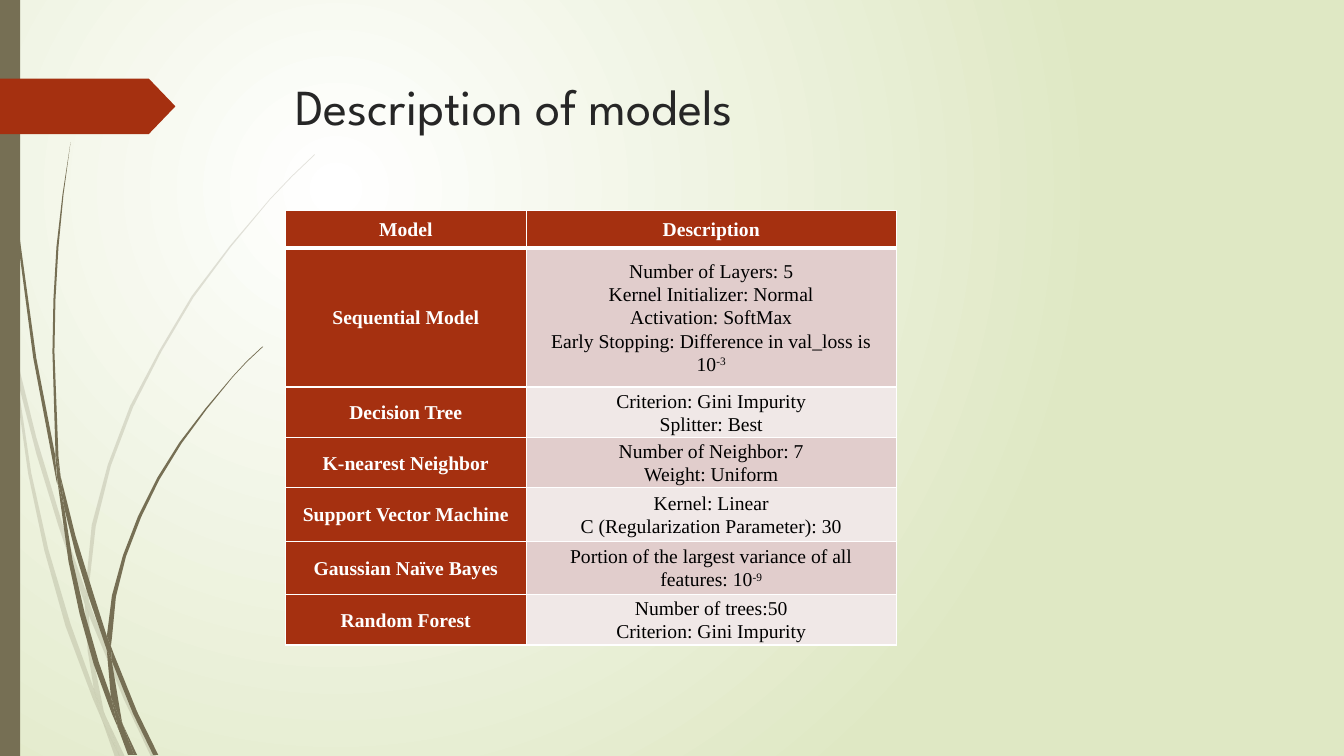
import pptx
import pptx.dml.color
import pptx.enum.shapes
import pptx.enum.text
import pptx.oxml
import pptx.oxml.ns
import pptx.util

Inches, Pt = pptx.util.Inches, pptx.util.Pt
RGBColor = pptx.dml.color.RGBColor
SHAPES = pptx.enum.shapes.MSO_SHAPE
qn, nsdecls = pptx.oxml.ns.qn, pptx.oxml.ns.nsdecls

OLIVE = RGBColor(0x76, 0x6F, 0x54)
RUST = RGBColor(0xA5, 0x30, 0x10)
PALE_GREEN = RGBColor(0xDF, 0xE8, 0xC4)
WHITE = RGBColor(0xFF, 0xFF, 0xFF)
BLACK = RGBColor(0, 0, 0)
TITLE_GRAY = RGBColor(0x26, 0x26, 0x26)
BANDS = [RGBColor(0xE1, 0xCD, 0xCC), RGBColor(0xF0, 0xE8, 0xE7)]

SLIDE_WIDTH, SLIDE_HEIGHT = 13.33, 7.5
TITLE = "Description of models"
HEADER = ("Model", ["Description"])
# One string per paragraph; "\v" breaks a line, text after "^" is superscript.
MODELS = [
    ("Sequential Model",
     ["Number of Layers: 5\vKernel Initializer: Normal\vActivation: SoftMax",
      "Early Stopping: Difference in val_loss is 10^-3"]),
    ("Decision Tree", ["Criterion: Gini Impurity\vSplitter: Best"]),
    ("K-nearest Neighbor", ["Number of Neighbor: 7\vWeight: Uniform"]),
    ("Support Vector Machine", ["Kernel: Linear\vC (Regularization Parameter): 30"]),
    ("Gaussian Naïve Bayes", ["Portion of the largest variance of all features: 10^-9"]),
    ("Random Forest", ["Number of trees:50\vCriterion: Gini Impurity"]),
]
COLUMN_WIDTHS = [2.39, 3.67]
ROW_HEIGHTS = [0.37, 1.38, 0.5, 0.5, 0.53, 0.53, 0.5]

# Outline corners of each piece of grass, in inches.
PALE_GRASS = [
    [(0.11, 3.5), (0.09, 3.22), (0, 2.82), (0, 2.99), (0.1, 3.44)],
    [(0.58, 5.22), (0.84, 5.99), (0.85, 5.86), (0.62, 5.2), (0.36, 4.34), (0.14, 3.45),
     (0.17, 3.76), (0.36, 4.5)],
    [(0.92, 6.07), (0.88, 5.96), (0.88, 6.1), (1.23, 6.94), (1.5, 7.51), (1.55, 7.51),
     (1.27, 6.92)],
    [(1.19, 7.51), (1.24, 7.51), (1.05, 7.11)],
    [(0.93, 6.83), (0.7, 6.19), (0.48, 5.45), (0.31, 4.69), (0.17, 3.76), (0.11, 3.5),
     (0.28, 4.7), (0.44, 5.46), (0.65, 6.21), (0.92, 6.93), (1.01, 7.14), (0.99, 7.07)],
    [(0.84, 5.99), (0.87, 6.46), (0.93, 6.83), (0.96, 6.92), (1.05, 7.11), (1.03, 7.06),
     (0.91, 6.46), (0.88, 6.1), (0.88, 6.08)],
    [(0.88, 5.84), (0.95, 5.22), (1.1, 4.62), (1.32, 4.04), (1.6, 3.49), (1.92, 2.95),
     (2.29, 2.45), (2.68, 1.98), (2.9, 1.75), (3.12, 1.54), (3.12, 1.53), (2.89, 1.75),
     (2.68, 1.97), (2.28, 2.44), (1.9, 2.94), (1.58, 3.48), (1.29, 4.03), (1.07, 4.61),
     (0.91, 5.21), (0.85, 5.84), (0.85, 5.86), (0.88, 5.96)],
    [(1.01, 7.14), (1.14, 7.51), (1.19, 7.51)],
    [(0.88, 6.08), (0.88, 6.1), (0.88, 5.96), (0.85, 5.86), (0.84, 5.99)],
    [(0.96, 6.92), (0.93, 6.83), (0.99, 7.07), (1.01, 7.14), (1.19, 7.51), (1.05, 7.11)],
]
DARK_GRASS = [
    [(0.07, 1.1), (0.17, 2.33), (0.33, 3.55), (0.56, 4.77), (0.57, 4.81), (0.55, 4.57),
     (0.55, 4.53), (0.36, 3.55), (0.19, 2.32), (0.08, 1.09), (0.05, 0.48), (0.04, 0),
     (0.03, 0), (0.04, 0.48)],
    [(0.88, 5.92), (1.06, 6.45), (1.06, 6.33), (1.06, 6.31), (0.93, 5.9), (0.75, 5.32),
     (0.6, 4.72), (0.64, 5.05), (0.75, 5.49)],
    [(1.13, 6.49), (1.1, 6.41), (1.11, 6.56), (1.32, 7.08), (1.52, 7.49), (1.57, 7.49),
     (1.36, 7.06)],
    [(1.1, 6.91), (0.98, 6.57), (0.84, 6.08), (0.72, 5.56), (0.64, 5.05), (0.57, 4.77),
     (0.68, 5.57), (0.79, 6.09), (0.93, 6.59), (1.11, 7.08), (1.17, 7.22), (1.16, 7.17)],
    [(0.6, 4.72), (0.58, 4.53), (0.54, 3.49), (0.55, 2.97), (0.58, 2.45), (0.63, 1.93),
     (0.7, 1.41), (0.62, 1.93), (0.56, 2.45), (0.53, 2.97), (0.52, 3.49), (0.55, 4.49)],
    [(1.33, 7.49), (1.36, 7.49), (1.22, 7.19)],
    [(0.57, 4.77), (0.64, 5.05), (0.6, 4.72), (0.55, 4.49), (0.55, 4.53)],
    [(1.11, 6.33), (1.15, 5.92), (1.25, 5.52), (1.4, 5.13), (1.58, 4.76), (1.8, 4.4),
     (2.05, 4.06), (2.31, 3.74), (2.45, 3.59), (2.61, 3.44), (2.6, 3.44), (2.45, 3.58),
     (2.31, 3.73), (2.04, 4.05), (1.78, 4.39), (1.56, 4.74), (1.37, 5.12), (1.22, 5.51),
     (1.11, 5.91), (1.06, 6.31), (1.1, 6.41)],
    [(1.17, 7.22), (1.27, 7.49), (1.31, 7.49)],
    [(1.06, 6.45), (1.1, 6.91), (1.16, 7.06), (1.22, 7.19), (1.21, 7.16), (1.11, 6.56),
     (1.09, 6.51)],
    [(1.06, 6.45), (1.09, 6.51), (1.11, 6.56), (1.1, 6.41), (1.06, 6.31)],
    [(1.16, 7.06), (1.1, 6.91), (1.16, 7.17), (1.17, 7.22), (1.3, 7.49), (1.33, 7.49),
     (1.22, 7.19)],
]


def paint(shape, color):
    shape.shadow.inherit = False
    shape.fill.solid()
    shape.fill.fore_color.rgb = color
    shape.line.fill.background()


def add_grass(shapes, corners, opacity):
    outline = [(Inches(x), Inches(y)) for x, y in corners]
    builder = shapes.build_freeform(*outline[0])
    builder.add_line_segments(outline[1:], close=True)
    grass = builder.convert_to_shape()
    paint(grass, OLIVE)
    if opacity < 100:
        color = grass.element.spPr.find(qn("a:solidFill"))[0]
        color.append(pptx.oxml.parse_xml(
            f'<a:alpha {nsdecls("a")} val="{opacity * 1000}"/>'))


def set_background(slide):
    fill = slide.background.fill
    fill.gradient()
    for stop, color in zip(fill.gradient_stops, (WHITE, PALE_GREEN)):
        stop.color.rgb = color
    gradient = next(slide.element.iter(qn("a:gradFill")))
    gradient.replace(gradient.find(qn("a:lin")), pptx.oxml.parse_xml(
        f'<a:path {nsdecls("a")} path="circle"><a:fillToRect l="50000" t="50000" '
        'r="100000" b="100000"/></a:path>'))


def set_borders(cell, bottom_width):
    properties = cell._tc.get_or_add_tcPr()
    for i, (side, width) in enumerate(zip("LRTB", (1, 1, 1, bottom_width))):
        properties.insert(i, pptx.oxml.parse_xml(
            f'<a:ln{side} {nsdecls("a")} w="{Pt(width)}"><a:solidFill>'
            f'<a:srgbClr val="{WHITE}"/></a:solidFill></a:ln{side}>'))


def fill_cell(cell, texts, background, color, bold, roomy):
    cell.fill.solid()
    cell.fill.fore_color.rgb = background
    cell.vertical_anchor = pptx.enum.text.MSO_ANCHOR.MIDDLE
    cell.margin_left = cell.margin_right = Inches(0.11 if roomy else 0.1)
    cell.margin_top = cell.margin_bottom = Inches(0.06 if roomy else 0)
    cell.text_frame.text = "\n".join(text.partition("^")[0] for text in texts)
    for paragraph, text in zip(cell.text_frame.paragraphs, texts):
        paragraph.alignment = pptx.enum.text.PP_ALIGN.CENTER
        paragraph.line_spacing = 1.07
        exponent = text.partition("^")[2]
        if exponent:
            run = paragraph.add_run()
            run.text = exponent
            run._r.get_or_add_rPr().set("baseline", "30000")
        for run in paragraph.runs:
            run.font.name = "Times New Roman"
            run.font.size = Pt(14)
            run.font.bold = bold
            run.font.color.rgb = color
        for line_break in paragraph._p.findall(qn("a:br")):
            line_break.append(pptx.oxml.parse_xml(
                f'<a:rPr {nsdecls("a")} sz="1400">'
                '<a:latin typeface="Times New Roman"/></a:rPr>'))


def add_model_table(shapes):
    rows = [HEADER, *MODELS]
    table = shapes.add_table(
        len(rows), len(COLUMN_WIDTHS), Inches(2.83), Inches(2.09),
        Inches(sum(COLUMN_WIDTHS)), Inches(sum(ROW_HEIGHTS))).table
    table.horz_banding = False
    for column, width in zip(table.columns, COLUMN_WIDTHS):
        column.width = Inches(width)
    for i, (model, description) in enumerate(rows):
        table.rows[i].height = Inches(ROW_HEIGHTS[i])
        for j, texts in enumerate(([model], description)):
            heading = i == 0 or j == 0
            cell = table.cell(i, j)
            fill_cell(cell, texts, RUST if heading else BANDS[(i - 1) % 2],
                      WHITE if heading else BLACK, heading, roomy=i == 1)
            set_borders(cell, 3 if i == 0 else 1)


def add_title(slide):
    title = slide.shapes.title
    title.left, title.top = Inches(2.83), Inches(0.69)
    title.width, title.height = Inches(9.75), Inches(1.4)
    title.text_frame.text = TITLE
    title.text_frame.vertical_anchor = pptx.enum.text.MSO_ANCHOR.TOP
    paragraph = title.text_frame.paragraphs[0]
    paragraph.alignment = pptx.enum.text.PP_ALIGN.LEFT
    font = paragraph.runs[0].font
    font.name, font.size, font.color.rgb = "League Spartan", Pt(36), TITLE_GRAY


def main():
    presentation = pptx.Presentation()
    presentation.slide_width = Inches(SLIDE_WIDTH)
    presentation.slide_height = Inches(SLIDE_HEIGHT)
    slide = presentation.slides.add_slide(presentation.slide_layouts[5])
    set_background(slide)
    for pieces, opacity in ((PALE_GRASS, 20), (DARK_GRASS, 100)):
        for corners in pieces:
            add_grass(slide.shapes, corners, opacity)
    side_bar = slide.shapes.add_shape(
        SHAPES.RECTANGLE, 0, 0, Inches(0.2), Inches(SLIDE_HEIGHT))
    paint(side_bar, OLIVE)
    arrow_tab = slide.shapes.add_shape(
        SHAPES.PENTAGON, 0, Inches(0.78), Inches(1.74), Inches(0.55))
    arrow_tab.adjustments[0] = 0.48
    paint(arrow_tab, RUST)
    add_title(slide)
    add_model_table(slide.shapes)
    presentation.save("out.pptx")


if __name__ == "__main__":
    main()
